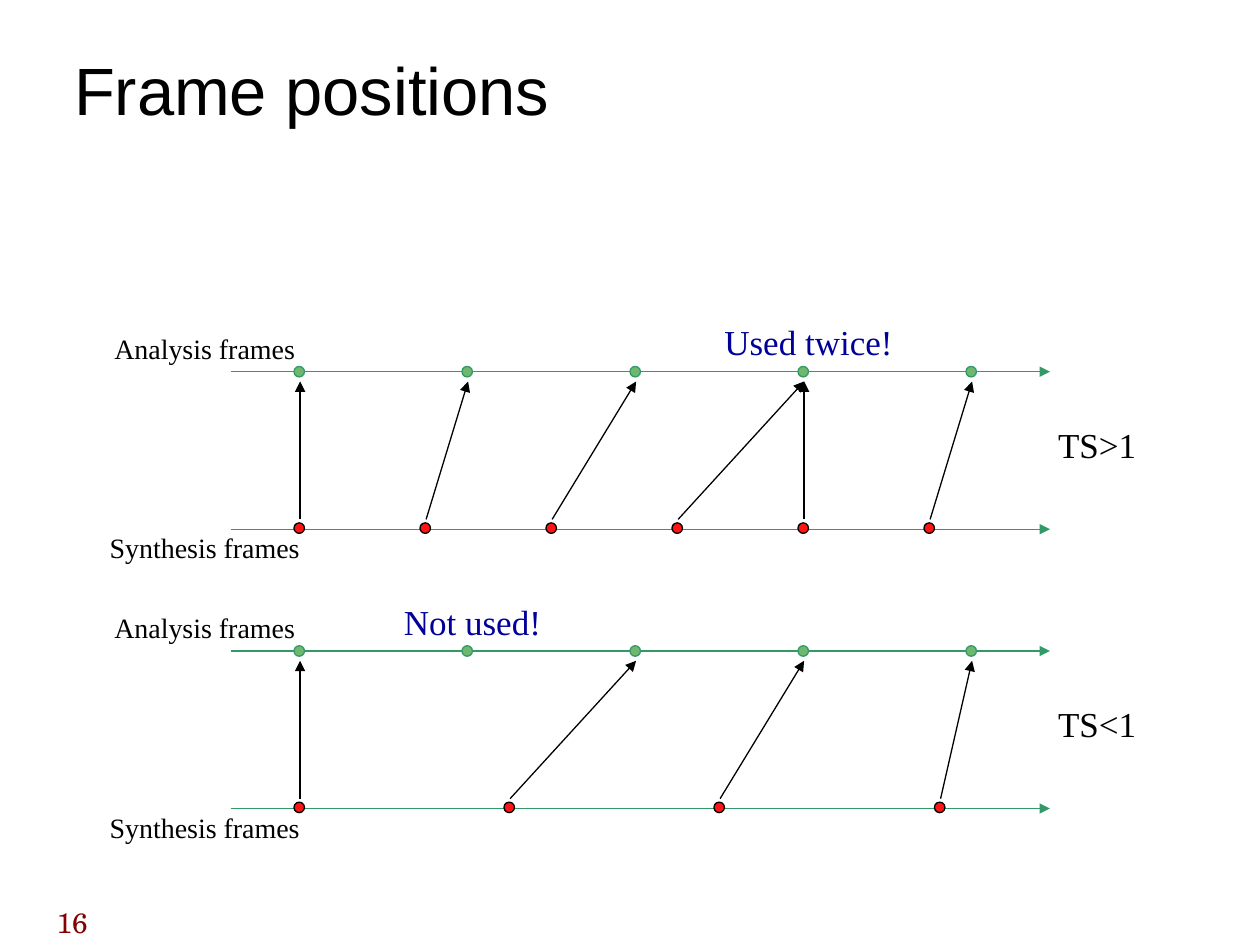
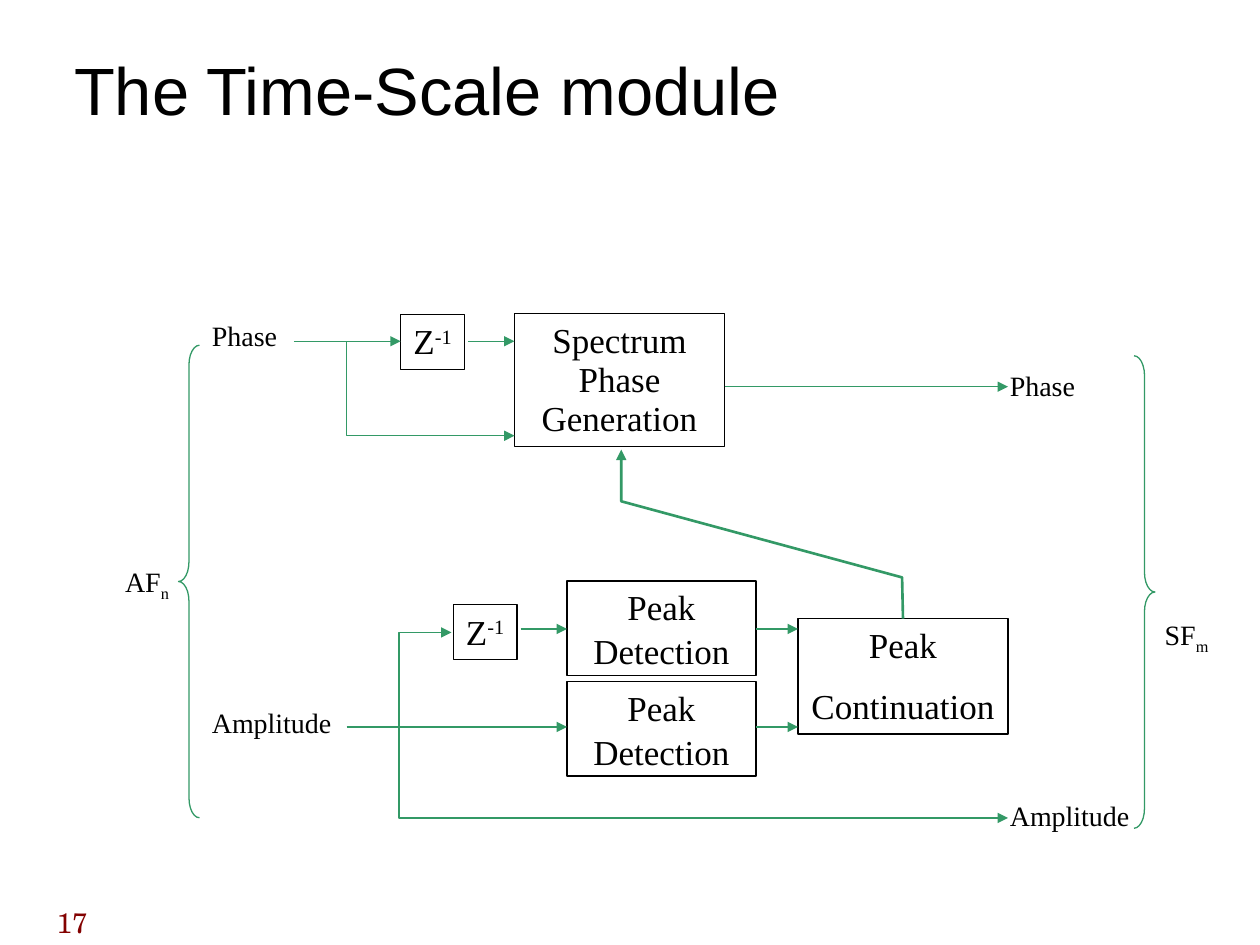
from pptx import Presentation
from pptx.util import Pt
from pptx.dml.color import RGBColor
from pptx.enum.shapes import MSO_SHAPE as Kind, MSO_CONNECTOR as Link
from pptx.enum.text import PP_ALIGN as Align, MSO_ANCHOR as Anchor
from pptx.oxml.ns import qn
from lxml.etree import SubElement

HUES = {"ink": "000000", "paper": "FFFFFF", "green": "339966", "leaf": "6FB76F",
        "red": "FE1414", "navy": "000099", "wine": "830100"}
SERIF, SANS, BOOK = "Times New Roman", "Arial", "TeX Gyre Schola"
PAD = (7.2, 5, 7.2, 3.6)


def hue(name):
    return RGBColor.from_string(HUES[name])


def write(shape, lines, size, tint="ink", font=SERIF, align=Align.CENTER, pad=PAD,
          gaps=(0.93, 0.93), anchor=Anchor.TOP, wrap=True, shift=None):
    frame = shape.text_frame
    frame.word_wrap = wrap
    frame.vertical_anchor = anchor
    (frame.margin_left, frame.margin_top,
     frame.margin_right, frame.margin_bottom) = map(Pt, pad)
    frame.text = lines
    if shift:
        mark, base = shift
        run = frame.paragraphs[0].add_run()
        run.text = mark
        run._r.get_or_add_rPr().set("baseline", str(base * 1000))
    for i, para in enumerate(frame.paragraphs):
        para.alignment = align
        para.line_spacing = gaps[i]
        if i:
            para.space_before = Pt(12.5)
        for run in para.runs:
            run.font.size = Pt(size)
            run.font.name = font
            run.font.color.rgb = hue(tint)


def label(slide, box, lines, size=16, **style):
    write(slide.shapes.add_textbox(*map(Pt, box)), lines, size, **style)


def shape(slide, kind, box, fill=None, edge="ink"):
    item = slide.shapes.add_shape(kind, *map(Pt, box))
    item.shadow.inherit = False
    if fill:
        item.fill.solid()
        item.fill.fore_color.rgb = hue(fill)
    else:
        item.fill.background()
    item.line.color.rgb = hue(edge)
    item.line.width = Pt(0.75)
    return item


def block(slide, box, lines, **style):
    write(shape(slide, Kind.RECTANGLE, box, "paper"), lines, 20, **style)


def arrow(slide, left, top, *spots, tint="green", width=0.75):
    spots = [(Pt(left + x), Pt(top + y)) for x, y in spots]
    if len(spots) == 2:
        item = slide.shapes.add_connector(Link.STRAIGHT, *spots[0], *spots[1])
        SubElement(item._element.spPr, qn("a:effectLst"))
    else:
        path = slide.shapes.build_freeform(*spots[0])
        path.add_line_segments(spots[1:], close=False)
        item = path.convert_to_shape()
        item.shadow.inherit = False
        item.fill.background()
    item.line.color.rgb = hue(tint)
    item.line.width = Pt(width)
    SubElement(item.line._get_or_add_ln(), qn("a:tailEnd"), type="triangle")


def start(deck, title, number):
    slide = deck.slides.add_slide(deck.slide_layouts[6])
    label(slide, (32.4, 519, 90, 18), number, tint="wine", font=BOOK,
          align=Align.LEFT, pad=(0, 0, 0, 0), gaps=(0.95,))
    label(slide, (35.3, 0.7, 612.7, 97.2), title, 38.2, font=SANS, align=Align.LEFT,
          pad=(7.2, 5.8, 7.2, 3.6), gaps=(1,), anchor=Anchor.MIDDLE)
    return slide


def dot(slide, x, y, fill, edge):
    shape(slide, Kind.OVAL, (x - 3, y - 3, 6, 6), fill, edge)


def frames(slide, left, top, ratio, synth, pairs, note, spot, wide):
    high, low = 32.4, 122.4
    marks = [123 + 96 * i for i in range(5)]
    for y in (high, low):
        arrow(slide, left, top, (84, y), (552, y))
    for x in marks:
        dot(slide, left + x, top + high, "leaf", "green")
    for x in synth:
        dot(slide, left + x, top + low - 0.6, "red", "ink")
    for x, end in zip(synth, pairs):
        arrow(slide, left, top, (x + 0.5, low - 5.6), (marks[end] + 0.5, high + 5.6),
              tint="ink")
    label(slide, (left, top + 6, 138, 27), "Analysis frames")
    label(slide, (left, top + 120, 138, 27), "Synthesis frames")
    label(slide, (left + 546, top + 59, 66, 31), ratio, 20)
    label(slide, (left + spot, top + 0.5, wide, 31), note, 20, tint="navy")


def delay(slide, left, top):
    block(slide, (left, top, 36.5, 31.4), "Z", anchor=Anchor.MIDDLE, wrap=False,
          shift=("-1", 30))


def phase(slide, left, top):
    for x, y in ((0, 0), (456, 28)):
        label(slide, (left + x, top + y, 84, 27), "Phase", align=Align.LEFT)
    delay(slide, left + 115, top + 0.7)
    block(slide, (left + 180, top, 120, 76), "Spectrum Phase Generation")
    arrow(slide, left, top, (54, 16), (115, 16))
    arrow(slide, left, top, (84, 16), (84, 70), (180, 70))
    arrow(slide, left, top, (153.5, 16), (180, 16))
    arrow(slide, left, top, (300, 42), (462, 42))


def power(slide, left, top):
    for x, y in ((0, 70), (456, 123)):
        label(slide, (left + x, top + y, 84, 27), "Amplitude", align=Align.LEFT)
    delay(slide, left + 145, top + 15.5)
    for y in (2, 59.5):
        block(slide, (left + 210, top + y, 108, 54), "Peak\nDetection",
              pad=(7.2, 8.6, 7.2, 3.6), gaps=(0.74, 0.46))
    block(slide, (left + 342, top + 23.5, 120, 66), "Peak\nContinuation")
    arrow(slide, left, top, (84, 85.4), (210, 85.4))
    arrow(slide, left, top, (114, 85.4), (114, 31.4), (144, 31.4))
    arrow(slide, left, top, (183.5, 29.4), (210, 29.4))
    for y in (29.4, 85.4):
        arrow(slide, left, top, (318, y), (342, y))
    arrow(slide, left, top, (402, 23.5), (401.5, 0), (241, -43.5), (241, -73), width=1.5)
    arrow(slide, left, top, (114, 83.4), (114, 137.4), (462, 137.4))


def brace(slide, left, top, kind, name, index, x, y):
    item = shape(slide, kind, (left, top, 12, 270), edge="green")
    item.adjustments[0] = 0.94
    label(slide, (left + x, top + y, 60, 29), name, shift=(index, -25))


def main():
    deck = Presentation()
    deck.slide_width, deck.slide_height = Pt(720), Pt(540)

    slide = start(deck, "Frame positions", "16")
    frames(slide, 48, 180, "TS>1", [123 + 72 * i for i in range(6)],
           (0, 1, 2, 3, 3, 4), "Used twice!", 348, 132)
    frames(slide, 48, 339.6, "TS<1", [123, 243, 363, 489],
           (0, 2, 3, 4), "Not used!", 168, 108)

    slide = start(deck, "The Time-Scale module", "17")
    phase(slide, 114, 179)
    power(slide, 114, 330)
    brace(slide, 102, 197.3, Kind.LEFT_BRACE, "AF", "n", -48, 120.2)
    brace(slide, 648, 203.3, Kind.RIGHT_BRACE, "SF", "m", 0, 144.5)
    deck.save("out.pptx")


if __name__ == "__main__":
    main()
